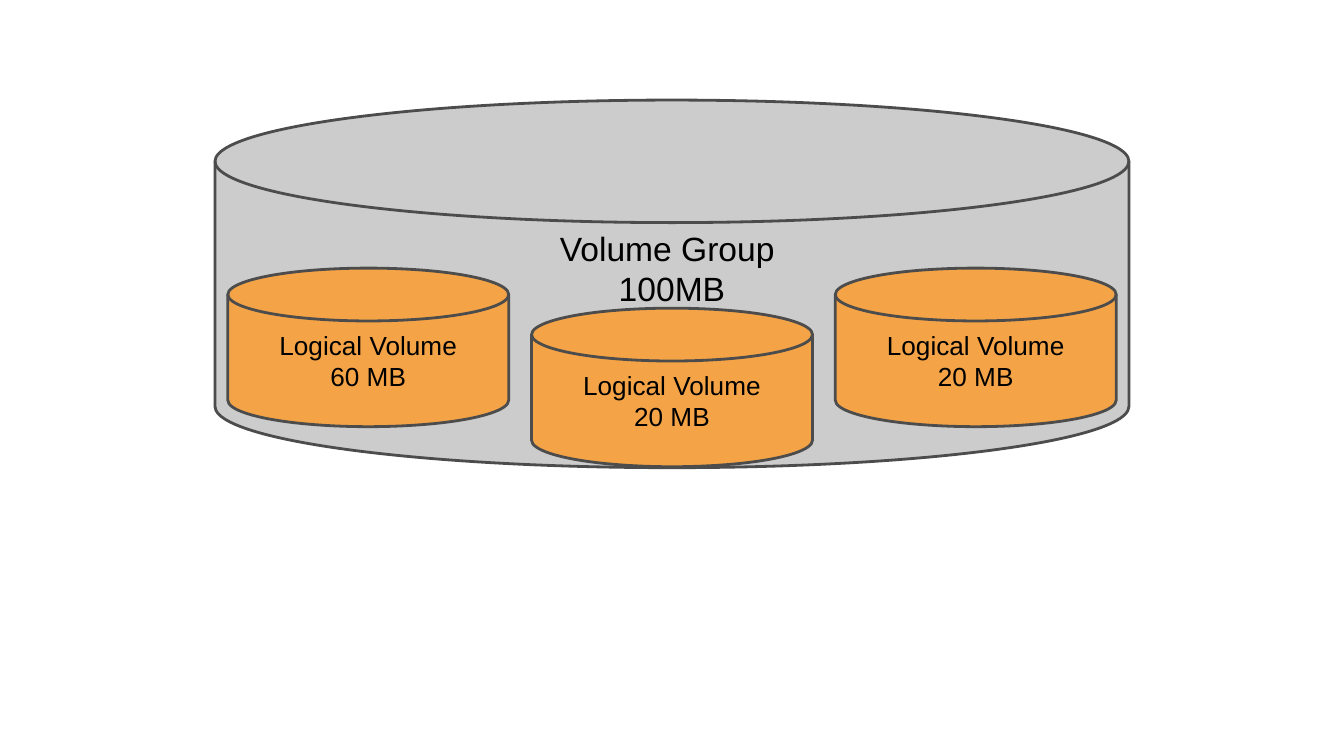
from dataclasses import dataclass

from pptx import Presentation
from pptx import util as u
from pptx.dml.color import RGBColor
from pptx.enum import shapes, text


@dataclass(frozen=True)
class Theme:
    group_fill: str = "CCCCCC"
    volume_fill: str = "F4A447"
    outline: str = "4C4C4C"
    ink: str = "000000"
    font: str = "Arial"
    group_size: int = 18
    volume_size: int = 14
    outline_width: float = 1.5


def write(frame, lines, *, size, color, font, anchor, top_inset):
    """Fill a text frame with centred lines, one paragraph each."""
    frame.word_wrap = True
    frame.vertical_anchor = anchor
    frame.margin_left = frame.margin_right = frame.margin_bottom = u.Inches(0.1)
    frame.margin_top = u.Inches(top_inset)
    frame.text = "\n".join(lines)
    for paragraph in frame.paragraphs:
        paragraph.alignment = text.PP_ALIGN.CENTER
        for run in paragraph.runs:
            run.font.size = u.Pt(size)
            run.font.name = font
            run.font.color.rgb = RGBColor.from_string(color)


class Diagram:
    """Draws on a square grid with cells of a tenth of an inch."""
    CELL = u.Inches(0.1)

    def __init__(self, slide, theme):
        self.slide = slide
        self.theme = theme

    def disk(self, column, row, columns, rows, lines, *, fill, size,
             anchor=text.MSO_ANCHOR.MIDDLE, top_inset=0.1):
        box = [round(n * self.CELL) for n in (column, row, columns, rows)]
        disk = self.slide.shapes.add_shape(
            shapes.MSO_SHAPE.FLOWCHART_MAGNETIC_DISK, *box)
        disk.shadow.inherit = False
        disk.fill.solid()
        disk.fill.fore_color.rgb = RGBColor.from_string(fill)
        disk.line.color.rgb = RGBColor.from_string(self.theme.outline)
        disk.line.width = u.Pt(self.theme.outline_width)
        write(disk.text_frame, lines, size=size, color=self.theme.ink,
              font=self.theme.font, anchor=anchor, top_inset=top_inset)


def main():
    deck = Presentation()
    deck.slide_width = u.Inches(10)
    deck.slide_height = deck.slide_width * 9 // 16
    theme = Theme()
    diagram = Diagram(deck.slides.add_slide(deck.slide_layouts[6]), theme)

    # Volume group, labelled above the volumes it holds
    diagram.disk(16, 7.45, 68, 27.35, ["Volume Group ", "100MB"],
                 fill=theme.group_fill, size=theme.group_size,
                 anchor=text.MSO_ANCHOR.TOP, top_inset=0.04)

    # Logical volumes, evenly spaced with the middle one lower
    first_column, pitch = 16.95, 22.6
    volumes = [("60 MB", 19.95), ("20 MB", 22.93), ("20 MB", 19.95)]
    for index, (capacity, row) in enumerate(volumes):
        diagram.disk(first_column + index * pitch, row, 20.9, 11.8,
                     ["Logical Volume", capacity],
                     fill=theme.volume_fill, size=theme.volume_size)

    deck.save("out.pptx")


if __name__ == "__main__":
    main()
